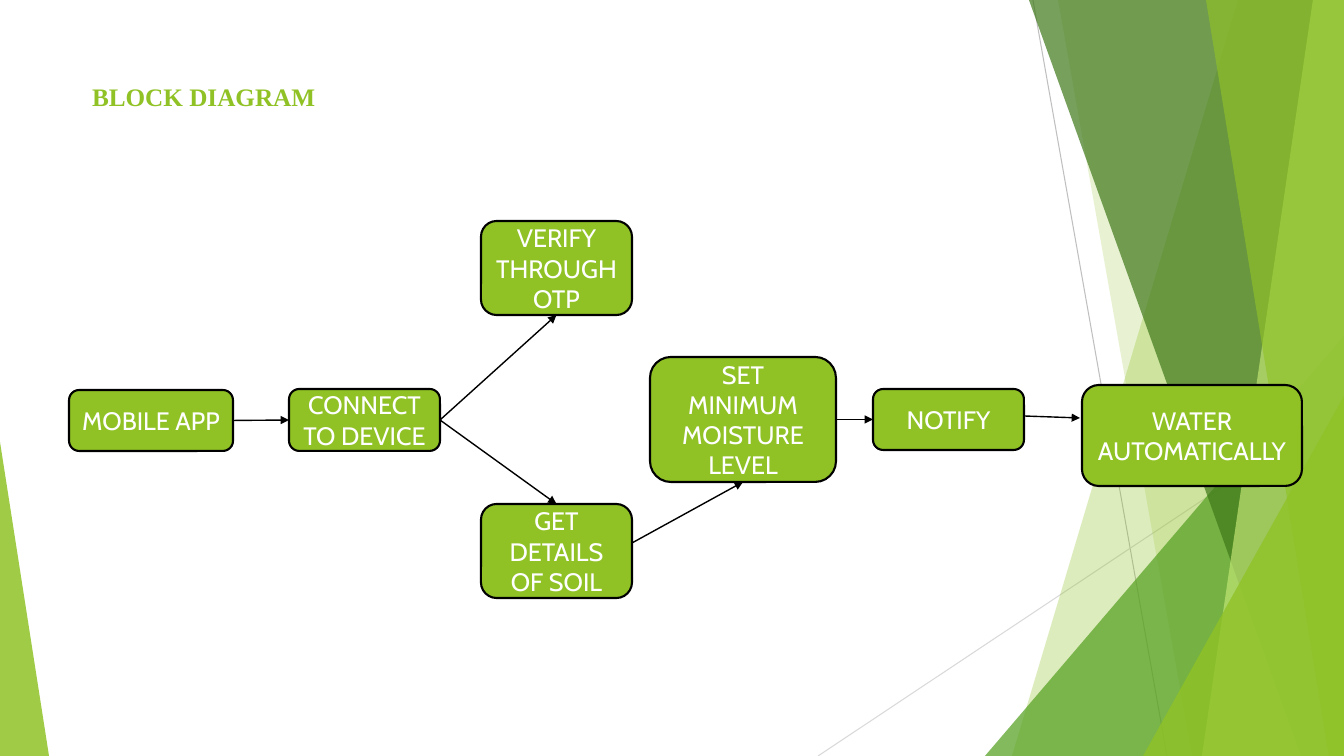
"""Build the block diagram slide of a soil watering system."""
from pptx import Presentation
from pptx.dml.color import RGBColor
from pptx.enum.shapes import MSO_CONNECTOR, MSO_SHAPE
from pptx.enum.text import MSO_ANCHOR, MSO_AUTO_SIZE, PP_ALIGN
from pptx.oxml.ns import qn
from pptx.util import Pt
from lxml import etree

LINE = MSO_CONNECTOR.STRAIGHT
ROUND, TRI = MSO_SHAPE.ROUNDED_RECTANGLE, MSO_SHAPE.ISOSCELES_TRIANGLE
MIDDLE, TOP, FIXED = MSO_ANCHOR.MIDDLE, MSO_ANCHOR.TOP, MSO_AUTO_SIZE.NONE
LEFT, CENTER = PP_ALIGN.LEFT, PP_ALIGN.CENTER
PX = 914400 / 100.8
WIDE, HIGH = 1344, 756
THEME = {
    "green": "90C226", "mid": "54A021", "dark": "3F7819", "pale": "C0E474",
    "ink": "000000", "white": "FFFFFF", "gray": "BFBFBF", "light": "D9D9D9",
    "head": "Times New Roman", "body": "Cabin", "size": 18,
}


def style(frame, font, color, align, anchor, bold=False):
    """Format the one paragraph of a text frame."""
    frame.word_wrap = True
    frame.auto_size = FIXED
    frame.vertical_anchor = anchor
    para = frame.paragraphs[0]
    para.alignment = align
    for run in para.runs:
        run.font.name = THEME[font]
        run.font.size = Pt(THEME["size"])
        run.font.bold = bold
        run.font.color.rgb = RGBColor.from_string(THEME[color])


def link(ends, color, width):
    """Draw a plain straight line between two points in px."""
    line = shapes.add_connector(LINE, *[round(n * PX) for n in ends])
    line.line.color.rgb = RGBColor.from_string(THEME[color])
    line.line.width = Pt(width)
    etree.SubElement(line.element.spPr, qn("a:effectLst"))
    return line


deck = Presentation()
deck.slide_width, deck.slide_height = round(WIDE * PX), round(HIGH * PX)
slide = deck.slides.add_slide(deck.slide_layouts[5])
shapes = slide.shapes

title = shapes.title
title.left, title.top, title.width, title.height = [round(n * PX) for n in (82, 76, 303, 72)]
title.text_frame.text = "BLOCK DIAGRAM"
style(title.text_frame, "head", "green", LEFT, TOP, True)

link((1033, 0, 1167, HIGH), "gray", 0.75)
link((WIDE, 406, 818, HIGH), "light", 0.75)

facets = [
    ("band", (1238, 1012), "green", 30),
    ("band", (1058, 1192), "green", 20),
    ("wedge", (985, 336, 359, 420, 1), "mid", 72),
    ("band", (1029, 1301), "dark", 70),
    ("band", (1313, 1202), "pale", 70),
    ("band", (1206, 1329), "green", 65),
    ("wedge", (1143, 396, 201, 360, 1), "green", 80),
    ("wedge", (0, 442, 49, 314, 0), "green", 85),
]
for kind, spot, color, alpha in facets:
    if kind == "band":
        head, foot = spot
        form = shapes.build_freeform(head, 0, scale=PX)
        form.add_line_segments([(WIDE, 0), (WIDE, HIGH), (foot, HIGH)], close=True)
        facet = form.convert_to_shape()
    else:
        facet = shapes.add_shape(TRI, *[round(n * PX) for n in spot[:4]])
        facet.adjustments[0] = spot[4]
    facet.shadow.inherit = False
    facet.fill.solid()
    facet.fill.fore_color.rgb = RGBColor.from_string(THEME[color])
    tint = facet.element.spPr.find(qn("a:solidFill"))[0]
    etree.SubElement(tint, qn("a:alpha"), val=str(alpha * 1000))
    facet.line.fill.background()

steps = {
    "mobile": ("MOBILE APP", 69, 390, 164, 61),
    "connect": ("CONNECT TO DEVICE", 289, 389, 151, 62),
    "verify": ("VERIFY THROUGH OTP", 481, 221, 151, 94),
    "soil": ("GET DETAILS OF SOIL", 481, 504, 151, 94),
    "level": ("SET MINIMUM MOISTURE LEVEL", 650, 357, 186, 125),
    "notify": ("NOTIFY", 873, 389, 151, 61),
    "water": ("WATER AUTOMATICALLY", 1082, 385, 220, 101),
}
boxes = {}
for name, (text, *spot) in steps.items():
    box = shapes.add_shape(ROUND, *[round(n * PX) for n in spot])
    box.shadow.inherit = False
    box.fill.solid()
    box.fill.fore_color.rgb = RGBColor.from_string(THEME["green"])
    box.line.color.rgb = RGBColor.from_string(THEME["ink"])
    box.line.width = Pt(1.5)
    box.text_frame.text = text
    style(box.text_frame, "body", "white", CENTER, MIDDLE)
    boxes[name] = box

arrows = [
    ((233, 420, 289, 420), ("mobile", 3), ("connect", 1)),
    ((440, 420, 556, 315), ("connect", 3), ("verify", 2)),
    ((440, 420, 556, 504), ("connect", 3), ("soil", 0)),
    ((632, 543, 743, 482), None, ("level", 2)),
    ((836, 420, 873, 420), ("level", 3), ("notify", 1)),
    ((1024, 416, 1080, 418), None, None),
]
for ends, start, stop in arrows:
    arrow = link(ends, "ink", 1)
    if start:
        arrow.begin_connect(boxes[start[0]], start[1])
    if stop:
        arrow.end_connect(boxes[stop[0]], stop[1])
    etree.SubElement(arrow.line._get_or_add_ln(), qn("a:tailEnd"), type="triangle")

deck.save("out.pptx")
